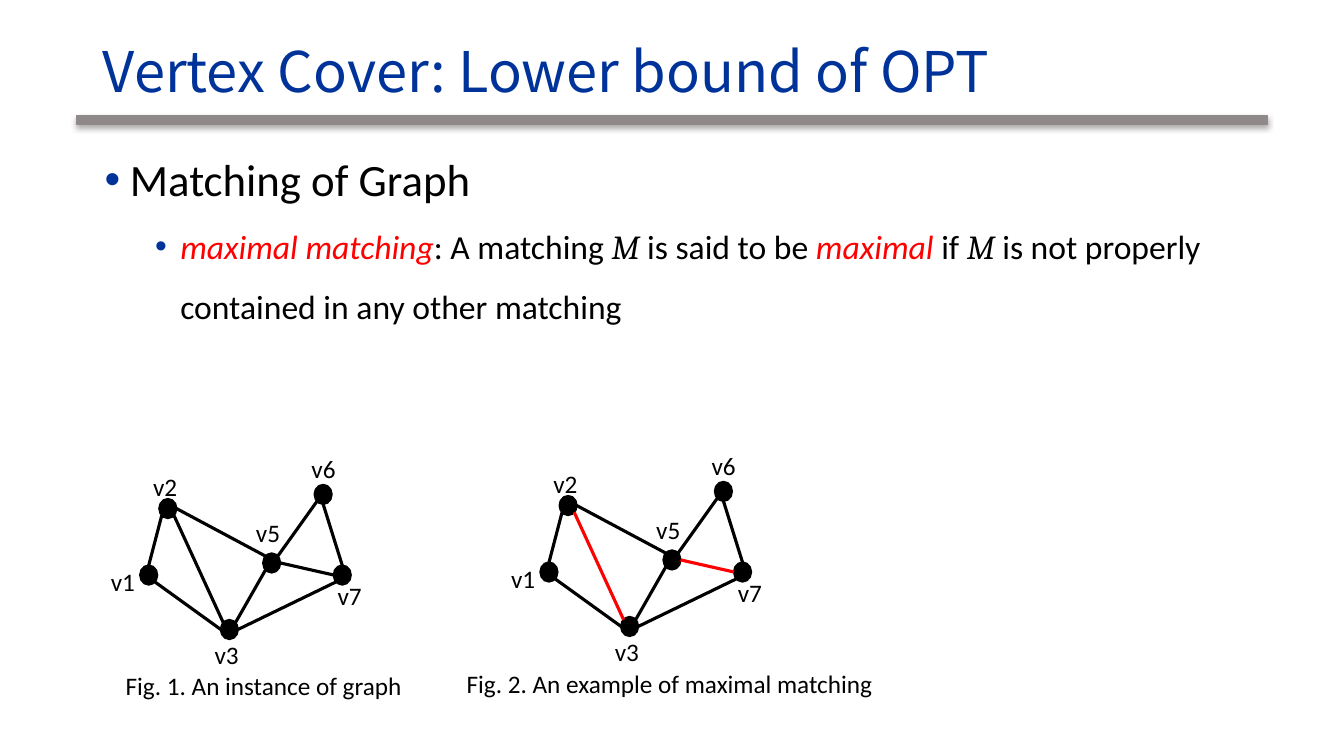
from math import cos, radians, sin

from lxml import etree
from pptx import Presentation
from pptx.dml.color import RGBColor
from pptx.enum.shapes import MSO_CONNECTOR, MSO_SHAPE
from pptx.enum.text import MSO_ANCHOR, PP_ALIGN
from pptx.oxml.ns import qn
from pptx.util import Inches, Pt

LINE = MSO_CONNECTOR.STRAIGHT
RECT, OVAL = MSO_SHAPE.RECTANGLE, MSO_SHAPE.OVAL
MIDDLE = MSO_ANCHOR.MIDDLE
LEFT, CENTER = PP_ALIGN.LEFT, PP_ALIGN.CENTER
BLACK, RED, BLUE, GREY = "000000", "FF0000", "003399", "8F8989"

TITLE = "Vertex Cover: Lower bound of OPT"
TITLE_FONT = dict(name="Noto Sans CJK SC", size=Pt(40), color=BLUE)
HEAD = dict(name="Calibri", size=Pt(32), color=BLACK)
BODY = dict(name="Calibri", size=Pt(24), color=BLACK, italic=False)
TERM = BODY | dict(color=RED, italic=True)
MATH = BODY | dict(name="Cambria", italic=True)
LABEL = dict(name="Calibri", size=Pt(18), color=BLACK)

# One entry per paragraph: left margin in inches, runs
BULLETS = [
    (0.25, [("Matching of Graph", HEAD)]),
    (0.75, [("maximal matching", TERM), (": A matching ", BODY), ("M ", MATH),
            ("is said to be ", BODY), ("maximal", TERM), (" if ", BODY),
            ("M ", MATH),
            ("is not properly contained in any other matching", BODY)]),
]

# Vertex: top left of its dot, top left of its label
VERTICES = {
    "v1": ((1.39, 5.61), (1.00, 5.57)),
    "v2": ((1.58, 4.95), (1.42, 4.63)),
    "v3": ((2.19, 6.15), (2.03, 6.29)),
    "v5": ((2.61, 5.49), (2.44, 5.08)),
    "v6": ((3.12, 4.81), (2.99, 4.45)),
    "v7": ((3.31, 5.61), (3.25, 5.71)),
}
DOT_W, DOT_H = 0.17, 0.19

# Edge: vertex and compass side of the dot at each end
EDGES = [
    ("v2", "E", "v5", "NW"), ("v2", "SW", "v1", "N"), ("v1", "SE", "v3", "W"),
    ("v5", "SW", "v3", "NE"), ("v2", "SE", "v3", "NW"), ("v3", "E", "v7", "SW"),
    ("v5", "E", "v7", "W"), ("v5", "NE", "v6", "SW"), ("v6", "S", "v7", "N"),
]
SIDES = ["E", "SE", "S", "SW", "W", "NW", "N", "NE"]

# Figure: offset, matched edges, caption, caption box, caption alignment
FIGURES = [
    ((0, 0), [], "Fig. 1. An instance of graph",
     (0.64, 6.60, 3.95, 0.4), CENTER),
    ((3.97, -0.03), [("v2", "v3"), ("v5", "v7")],
     "Fig. 2. An example of maximal matching", (4.53, 6.58, 4.48, 0.4), LEFT),
]


def rgb(color):
    """Turn a hex string into a colour."""
    return RGBColor.from_string(color)


def add_run(p, text, fmt):
    """Append a formatted run to a paragraph."""
    r = p.add_run()
    r.text = text
    for key, value in fmt.items():
        if key == "color":
            r.font.color.rgb = rgb(value)
        else:
            setattr(r.font, key, value)


def add_text(shapes, box, text="", align=LEFT):
    """Add a wrapping text box, with one label line if text is given."""
    tf = shapes.add_textbox(*map(Inches, box)).text_frame
    tf.word_wrap = True
    if text:
        tf.paragraphs[0].alignment = align
        add_run(tf.paragraphs[0], text, LABEL)
    return tf


def add_solid(shapes, kind, box, color, width):
    """Add a shape with fill and line of one colour."""
    sp = shapes.add_shape(kind, *map(Inches, box))
    sp.shadow.inherit = False
    sp.fill.solid()
    sp.fill.fore_color.rgb = sp.line.color.rgb = rgb(color)
    sp.line.width = Pt(width)
    return sp


def add_shadow(sp, color):
    """Give a shape a soft shadow straight below it."""
    effects = sp._element.spPr.find(qn("a:effectLst"))
    shadow = etree.SubElement(effects, qn("a:outerShdw"), blurRad=str(Pt(4)),
                              dist=str(Pt(2)), dir="5400000", rotWithShape="0")
    etree.SubElement(shadow, qn("a:srgbClr"), val=color)


def add_bullet(p, margin, color):
    """Give a paragraph a hanging coloured bullet."""
    pPr = p._p.get_or_add_pPr()
    pPr.set("marL", str(Inches(margin)))
    pPr.set("indent", str(Inches(-0.25)))
    clr = etree.SubElement(pPr, qn("a:buClr"))
    etree.SubElement(clr, qn("a:srgbClr"), val=color)
    etree.SubElement(pPr, qn("a:buFont"), typeface="Arial")
    etree.SubElement(pPr, qn("a:buChar"), char="•")


def anchor(vertex, side):
    """Return the point on a vertex dot at a compass side."""
    (x, y), _ = VERTICES[vertex]
    angle = radians(45 * SIDES.index(side))
    return (x + DOT_W / 2 * (1 + cos(angle)), y + DOT_H / 2 * (1 + sin(angle)))


def add_edge(shapes, start, end, color):
    """Draw one graph edge."""
    cxn = shapes.add_connector(LINE, *map(Inches, start + end))
    cxn.line.color.rgb = rgb(color)
    cxn.line.width = Pt(2.25)
    etree.SubElement(cxn._element.spPr, qn("a:effectLst"))


def add_figure(slide, offset, matched, caption, caption_box, align):
    """Draw the graph as a group, with matched edges in red."""
    def moved(point):
        """Shift a point by the offset of the figure."""
        return tuple(a + b for a, b in zip(point, offset))

    shapes = slide.shapes.add_group_shape().shapes
    for dot, _ in VERTICES.values():
        add_solid(shapes, OVAL, moved(dot) + (DOT_W, DOT_H), BLACK, 1.5)
    for a, side_a, b, side_b in EDGES:
        color = RED if (a, b) in matched else BLACK
        add_edge(shapes, moved(anchor(a, side_a)), moved(anchor(b, side_b)), color)
    for name, (_, label) in VERTICES.items():
        add_text(shapes, moved(label) + (0.49, 0.4), name)
    add_text(shapes, caption_box, caption, align)


prs = Presentation()
prs.slide_width, prs.slide_height = Inches(13.33), Inches(7.5)
slide = prs.slides.add_slide(prs.slide_layouts[5])

title = slide.shapes.title
title.left, title.top, title.width, title.height = map(
    Inches, (0.92, 0.25, 11.2, 0.98))
title.text_frame.vertical_anchor = MIDDLE
p = title.text_frame.paragraphs[0]
p.alignment, p.line_spacing = LEFT, 0.9
add_run(p, TITLE, TITLE_FONT)

bar = add_solid(slide.shapes, RECT, (0.76, 1.15, 11.81, 0.08), GREY, 1)
add_shadow(bar, "AFABAB")

for figure in FIGURES:
    add_figure(slide, *figure)

tf = add_text(slide.shapes, (0.94, 1.19, 11.5, 5.28))
for level, (margin, runs) in enumerate(BULLETS):
    p = tf.add_paragraph() if level else tf.paragraphs[0]
    p.level, p.line_spacing = level, 1.5
    add_bullet(p, margin, BLUE)
    for text, fmt in runs:
        add_run(p, text, fmt)

prs.save("out.pptx")
